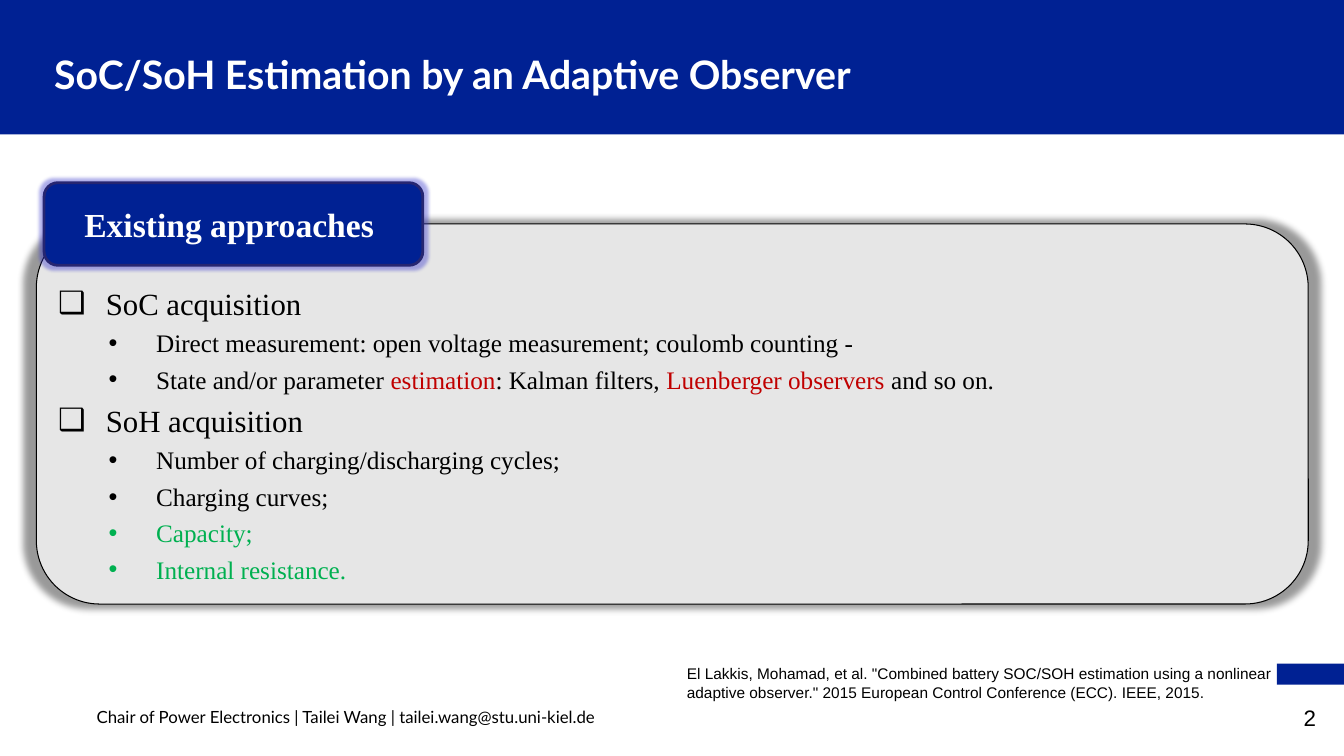
from lxml import etree
from pptx import Presentation
from pptx.dml.color import RGBColor
from pptx.enum.shapes import MSO_SHAPE
from pptx.enum.text import MSO_ANCHOR, MSO_AUTO_SIZE, PP_ALIGN
from pptx.oxml.ns import qn
from pptx.util import Pt

RECTANGLE = MSO_SHAPE.RECTANGLE
ROUNDED = MSO_SHAPE.ROUNDED_RECTANGLE
TOP, MIDDLE, BOTTOM = MSO_ANCHOR.TOP, MSO_ANCHOR.MIDDLE, MSO_ANCHOR.BOTTOM
LEFT, CENTER, RIGHT = PP_ALIGN.LEFT, PP_ALIGN.CENTER, PP_ALIGN.RIGHT
FIXED = MSO_AUTO_SIZE.NONE
TITLE_ONLY = 5

COLOURS = {
    "blue": "002193", "navy": "262671", "glow": "3333CC", "panel": "E6E6E6",
    "white": "FFFFFF", "black": "000000", "red": "C00000", "green": "00B050",
}
TITLE = {"name": "Lato", "size": Pt(28), "bold": True}
FOOTER = {"name": "Lato", "size": Pt(12)}
NUMBER = {"name": "Arial", "size": Pt(16)}
CITATION = {"name": "Arial", "size": Pt(11)}
LABEL = {"name": "Times New Roman", "size": Pt(24), "bold": True}
LEVELS = [
    {"font": {"name": "Times New Roman", "size": Pt(22)}, "bullet": "❑", "indent": 34, "before": 5.3},
    {"font": {"name": "Times New Roman", "size": Pt(18)}, "bullet": "•", "indent": 70, "before": 4.4},
]
HANGING = 34
INSETS = (7.2, 3.6, 7.2, 3.6)
NO_INSETS = (0, 0, 0, 0)

APPROACHES = [
    (0, [("SoC acquisition", "black")]),
    (1, [("Direct measurement: open voltage measurement; coulomb counting -", "black")]),
    (1, [("State and/or parameter ", "black"), ("estimation", "red"), (": Kalman filters, ", "black"),
         ("Luenberger observers", "red"), (" and so on.", "black")]),
    (0, [("SoH acquisition", "black")]),
    (1, [("Number of charging/discharging cycles;", "black")]),
    (1, [("Charging curves;", "black")]),
    (1, [("Capacity;", "green")]),
    (1, [("Internal resistance.", "green")]),
]


class SlideBuilder:
    """Holds the style and the current slide."""

    def __init__(self, page):
        self.page = page

    def colour(self, name):
        return RGBColor.from_string(COLOURS[name])

    def span(self, para, text, font, colour):
        span = para.add_run()
        span.text = text
        for key, value in font.items():
            setattr(span.font, key, value)
        span.font.color.rgb = self.colour(colour)

    def frame(self, box, anchor=TOP, insets=INSETS):
        frame = box.text_frame
        sides = ("margin_left", "margin_top", "margin_right", "margin_bottom")
        values = dict(zip(sides, map(Pt, insets)))
        values.update(word_wrap=True, auto_size=FIXED, vertical_anchor=anchor)
        for key, value in values.items():
            setattr(frame, key, value)
        return frame

    def caption(self, box, text, font, colour="black", align=LEFT, anchor=TOP, insets=INSETS):
        para = self.frame(box, anchor, insets).paragraphs[0]
        para.alignment = align
        self.span(para, text, font, colour)

    def text(self, area, text, font, **options):
        self.caption(self.page.shapes.add_textbox(*map(Pt, area)), text, font, **options)

    def title(self, area, text):
        title = self.page.shapes.title
        for key, value in zip(("left", "top", "width", "height"), area):
            setattr(title, key, Pt(value))
        self.caption(title, text, TITLE, colour="white", anchor=MIDDLE)
        title.element.getparent().append(title.element)

    def shape(self, kind, area, fill, line=None, width=0):
        shape = self.page.shapes.add_shape(kind, *map(Pt, area))
        shape.shadow.inherit = False
        shape.fill.solid()
        shape.fill.fore_color.rgb = self.colour(fill)
        if line:
            shape.line.color.rgb = self.colour(line)
            shape.line.width = Pt(width)
        else:
            shape.line.fill.background()
        return shape

    def effect(self, shape, kind, colour, alpha, **settings):
        effects = shape.element.spPr.find(qn("a:effectLst"))
        attributes = {key: str(value) for key, value in settings.items()}
        effect = etree.SubElement(effects, qn("a:" + kind), attributes)
        tint = etree.SubElement(effect, qn("a:srgbClr"), val=COLOURS[colour])
        etree.SubElement(tint, qn("a:alpha"), val=str(alpha * 1000))

    def bullets(self, area, items):
        frame = self.frame(self.page.shapes.add_textbox(*map(Pt, area)))
        for index, (level, spans) in enumerate(items):
            style = LEVELS[level]
            para = frame.add_paragraph() if index else frame.paragraphs[0]
            para.level = level
            para.space_before = Pt(style["before"] if index else 0)
            properties = para._p.get_or_add_pPr()
            properties.set("marL", str(Pt(style["indent"])))
            properties.set("indent", str(-Pt(HANGING)))
            etree.SubElement(properties, qn("a:buFont"), typeface="Arial")
            etree.SubElement(properties, qn("a:buChar"), char=style["bullet"])
            for text, colour in spans:
                self.span(para, text, style["font"], colour)


def main():
    deck = Presentation()
    deck.slide_width, deck.slide_height = Pt(960), Pt(540)
    builder = SlideBuilder(deck.slides.add_slide(deck.slide_layouts[TITLE_ONLY]))

    builder.shape(RECTANGLE, (0, 0, 960, 96), "blue")
    builder.shape(RECTANGLE, (912, 474, 48, 15), "blue")
    builder.title((31.5, 9.5, 670, 87), "SoC/SoH Estimation by an Adaptive Observer")

    panel = builder.shape(ROUNDED, (26, 160, 908.5, 271.5), "panel", "black", 0.75)
    builder.effect(panel, "outerShdw", "black", 40, blurRad=Pt(5), sx=102000, sy=102000, algn="ctr")
    builder.bullets((34.5, 199.7, 896, 220), APPROACHES)

    label = builder.shape(ROUNDED, (31.5, 130.5, 270.5, 59), "blue", "navy", 2)
    builder.effect(label, "glow", "glow", 40, rad=Pt(5))
    builder.caption(label, "Existing approaches", LABEL, colour="white", align=CENTER,
                    anchor=MIDDLE, insets=(7.2, 3.6, 13.2, 3.6))

    builder.text((483.5, 471, 433, 34),
                 'El Lakkis, Mohamad, et al. "Combined battery SOC/SOH estimation using a nonlinear '
                 'adaptive observer." 2015 European Control Conference (ECC). IEEE, 2015.', CITATION)
    builder.text((69, 505.5, 561, 13), "Chair of Power Electronics | Tailei Wang | tailei.wang@stu.uni-kiel.de",
                 FOOTER, anchor=MIDDLE, insets=NO_INSETS)
    builder.text((902, 498, 38, 24), "2", NUMBER, align=RIGHT, anchor=BOTTOM, insets=NO_INSETS)
    deck.save("out.pptx")


if __name__ == "__main__":
    main()
